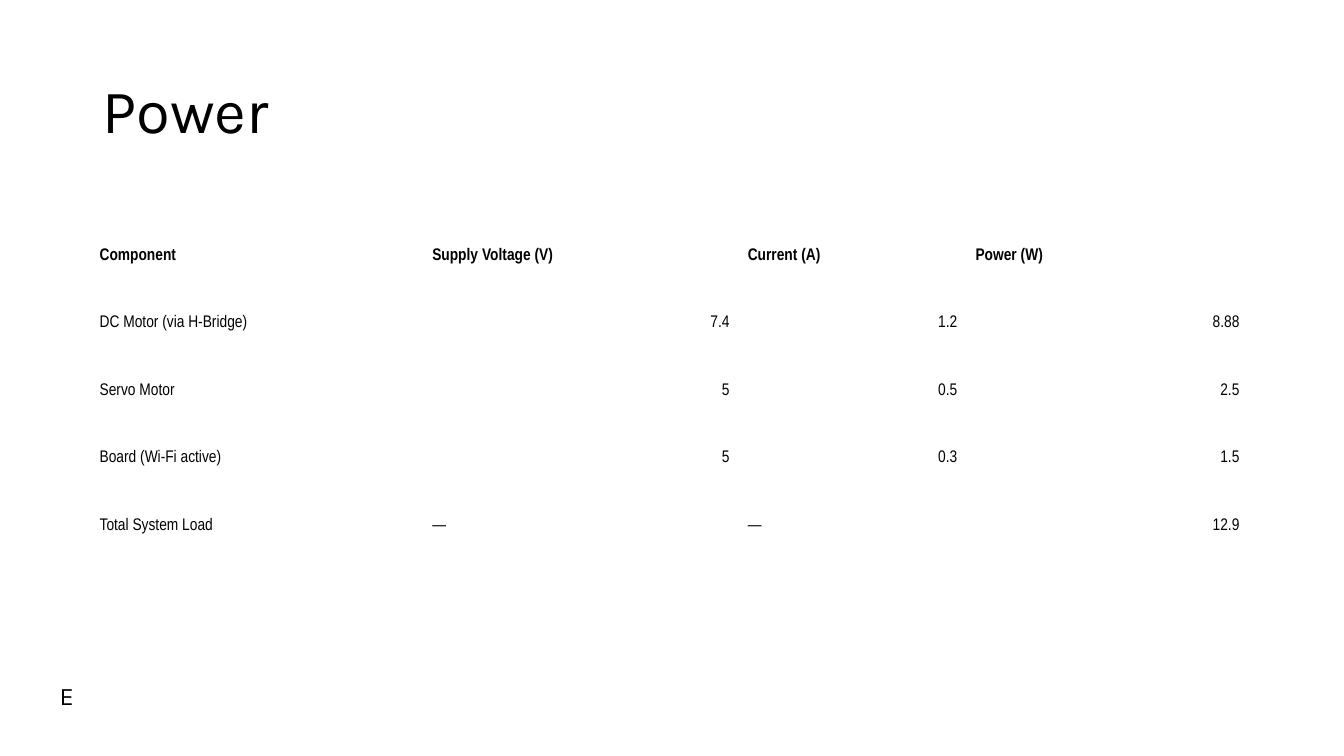
from pptx import Presentation
from pptx.dml.color import RGBColor
from pptx.enum.text import MSO_ANCHOR, MSO_AUTO_SIZE, PP_ALIGN
from pptx.util import Pt

LEFT, RIGHT = PP_ALIGN.LEFT, PP_ALIGN.RIGHT
MIDDLE, BOTTOM = MSO_ANCHOR.MIDDLE, MSO_ANCHOR.BOTTOM
FIT_SHAPE, NO_FIT = MSO_AUTO_SIZE.SHAPE_TO_FIT_TEXT, MSO_AUTO_SIZE.NONE
TITLE_ONLY = 5
BLACK = "000000"
NBSP = chr(160)  # each table entry ends with a no-break space

COLUMN_WIDTHS = (237.6, 225.4, 162.7, 201.6)
ROW_HEIGHT = 48.2
POWER_BUDGET = (
    ("Component", "Supply Voltage (V)", "Current (A)", "Power (W)"),
    ("DC Motor (via H-Bridge)", "7.4", "1.2", "8.88"),
    ("Servo Motor", "5", "0.5", "2.5"),
    ("Board (Wi-Fi active)", "5", "0.3", "1.5"),
    ("Total System Load", "—", "—", "12.9"),
)


def color(hex_string):
    return RGBColor.from_string(hex_string)


def write(tf, text, font, size, align=LEFT, bold=False):
    p = tf.paragraphs[0]
    p.text = text
    p.alignment = align
    p.font.name = font
    p.font.size = Pt(size)
    p.font.bold = bold
    p.font.color.rgb = color(BLACK)
    return p


def add_title(slide, text):
    sp = slide.shapes.title
    sp.left, sp.top, sp.width, sp.height = Pt(66), Pt(28.75), Pt(828), Pt(104.4)
    tf = sp.text_frame
    tf.word_wrap = True
    tf.auto_size = NO_FIT
    tf.vertical_anchor = MIDDLE
    write(tf, text, "Karla", 44).line_spacing = 0.9


def fill_cell(cell, text, bold):
    cell.fill.background()
    cell.vertical_anchor = BOTTOM
    cell.margin_left = cell.margin_right = Pt(5.2)
    cell.margin_top = cell.margin_bottom = Pt(3.6)
    align = RIGHT if text[0].isdigit() else LEFT
    p = write(cell.text_frame, text + NBSP, "Arial Narrow", 12, align, bold)
    p.line_spacing = Pt(13.5)


def add_power_table(slide, rows):
    table = slide.shapes.add_table(
        len(rows), len(COLUMN_WIDTHS), Pt(66), Pt(144),
        Pt(sum(COLUMN_WIDTHS)), Pt(ROW_HEIGHT * len(rows))).table
    table.first_row = table.horz_banding = False
    for column, width in zip(table.columns, COLUMN_WIDTHS):
        column.width = Pt(width)
    for i, row in enumerate(rows):
        table.rows[i].height = Pt(ROW_HEIGHT)
        for j, text in enumerate(row):
            fill_cell(table.cell(i, j), text, bold=(i == 0))


def add_label(slide, text, left, top, width, height):
    sp = slide.shapes.add_textbox(Pt(left), Pt(top), Pt(width), Pt(height))
    tf = sp.text_frame
    tf.word_wrap = False
    tf.auto_size = FIT_SHAPE
    write(tf, text, "Karla", 18)


def main():
    prs = Presentation()
    prs.slide_width, prs.slide_height = Pt(960), Pt(540)
    slide = prs.slides.add_slide(prs.slide_layouts[TITLE_ONLY])

    # Heading, power budget and corner letter
    add_title(slide, "Power")
    add_power_table(slide, POWER_BUDGET)
    add_label(slide, "E", 35.5, 482.4, 24.5, 29)

    prs.save("out.pptx")


if __name__ == "__main__":
    main()
